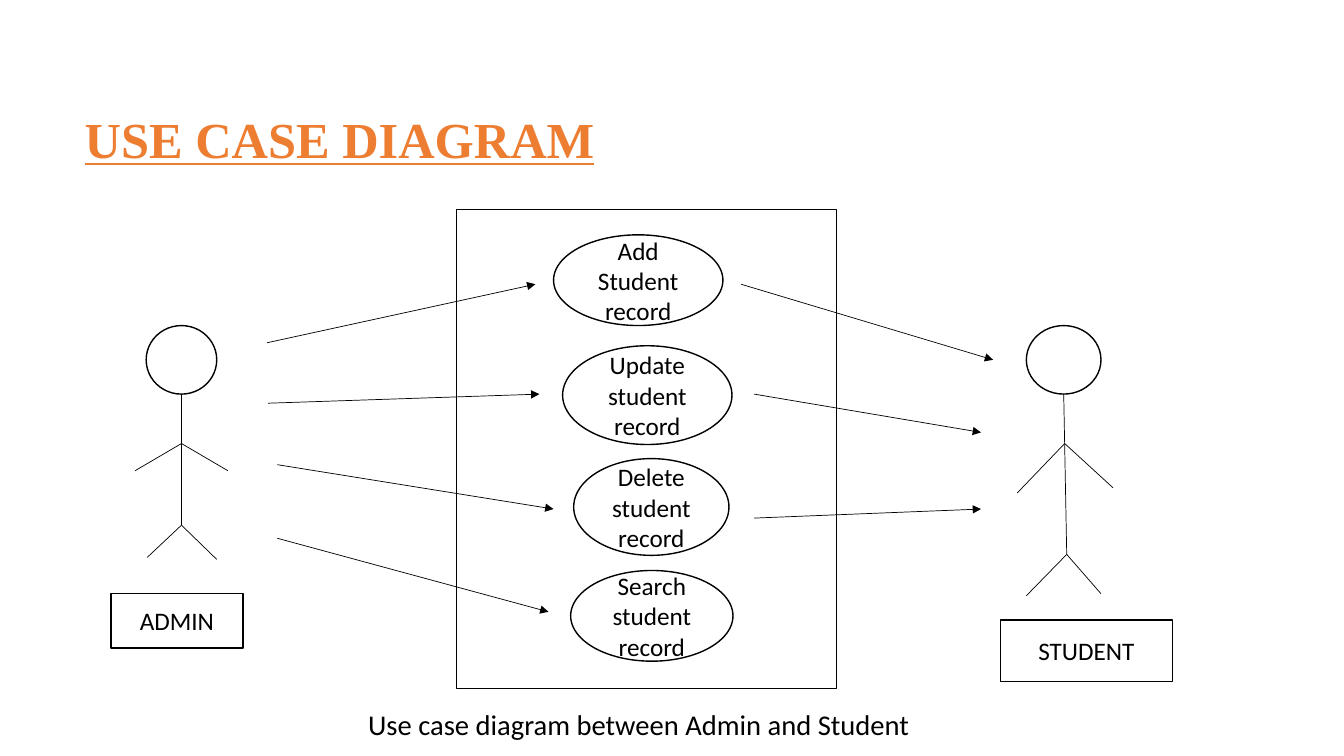
from lxml.etree import SubElement
from pptx import Presentation
from pptx.dml.color import RGBColor
from pptx.enum.shapes import MSO_CONNECTOR, MSO_SHAPE
from pptx.enum.text import MSO_ANCHOR, MSO_AUTO_SIZE, PP_ALIGN
from pptx.oxml.ns import qn
from pptx.util import Inches, Pt

COLORS = {"ink": "000000", "paper": "FFFFFF", "title": "ED7D31"}


def write(frame, text, size=18, font="Calibri", color="ink", bold=False,
          under=False, align=PP_ALIGN.CENTER, anchor=MSO_ANCHOR.MIDDLE,
          space=1.0, before=0):
    frame.word_wrap = True
    frame.auto_size = MSO_AUTO_SIZE.NONE
    frame.vertical_anchor = anchor
    para = frame.paragraphs[0]
    para.alignment = align
    para.line_spacing = space
    para.space_before = Pt(before)
    run = para.add_run()
    run.text = text
    run.font.size = Pt(size)
    run.font.name = font
    run.font.bold = bold
    run.font.underline = under
    run.font.color.rgb = RGBColor.from_string(COLORS[color])
    return para


def join(start, end, arrow=False):
    ends = [Inches(n) for n in (*start, *end)]
    link = slide.shapes.add_connector(MSO_CONNECTOR.STRAIGHT, *ends)
    link.line.color.rgb = RGBColor.from_string(COLORS["ink"])
    link.line.width = Pt(0.5)
    if arrow:
        SubElement(link.line._get_or_add_ln(), qn("a:tailEnd"), type="triangle")
    SubElement(link._element.spPr, qn("a:effectLst"))


deck = Presentation()
deck.slide_width, deck.slide_height = Inches(13.33), Inches(7.5)
slide = deck.slides.add_slide(deck.slide_layouts[1])

# Title and caption
title, note = slide.placeholders
for holder, box in ((title, (0.74, 0.82, 10.51, 1.18)),
                    (note, (1.08, 7.06, 10.51, 0.34))):
    holder.left, holder.top, holder.width, holder.height = map(Inches, box)
write(title.text_frame, "USE CASE DIAGRAM", size=36, font="Times New Roman",
      color="title", bold=True, under=True, align=PP_ALIGN.LEFT, space=0.9)
para = write(note.text_frame, "Use case diagram between Admin and Student",
             size=20.4, anchor=MSO_ANCHOR.TOP, space=0.7, before=10)
props = para._p.get_or_add_pPr()
props.set("marL", "0")
props.set("indent", "0")
SubElement(props, qn("a:buNone"))

# System frame, use cases, heads and actor labels
RECT, OVAL = MSO_SHAPE.RECTANGLE, MSO_SHAPE.OVAL
HEAD = MSO_SHAPE.FLOWCHART_CONNECTOR
parts = [
    (RECT, (4.53, 2.08, 3.77, 4.75), ""),
    (OVAL, (5.49, 2.33, 1.68, 0.9), "Add Student record"),
    (OVAL, (5.58, 3.43, 1.68, 0.98), "Update student record"),
    (OVAL, (5.69, 4.55, 1.54, 0.96), "Delete student record"),
    (OVAL, (5.66, 5.66, 1.61, 0.9), "Search student record"),
    (HEAD, (1.45, 3.23, 0.7, 0.68), ""),
    (HEAD, (10.18, 3.23, 0.74, 0.68), ""),
    (RECT, (1.1, 5.89, 1.31, 0.54), "ADMIN"),
    (RECT, (9.92, 6.15, 1.71, 0.61), "STUDENT"),
]
for kind, box, text in parts:
    shape = slide.shapes.add_shape(kind, *map(Inches, box))
    shape.shadow.inherit = False
    shape.fill.solid()
    shape.fill.fore_color.rgb = RGBColor.from_string(COLORS["paper"])
    shape.line.color.rgb = RGBColor.from_string(COLORS["ink"])
    shape.line.width = Pt(1)
    if text:
        write(shape.text_frame, text)

# Stick figures: neck, shoulder, hip, then hands and feet
actors = [
    ((1.8, 3.91), (1.8, 4.4), (1.8, 5.21),
     ((1.34, 4.67), (2.26, 4.67)), ((1.46, 5.53), (2.15, 5.55))),
    ((10.55, 3.91), (10.56, 4.4), (10.58, 5.5),
     ((10.09, 4.89), (11.04, 4.84)), ((10.18, 5.91), (10.92, 5.89))),
]
for neck, chest, hip, hands, feet in actors:
    join(neck, hip)
    for hand in hands:
        join(chest, hand)
    for foot in feet:
        join(hip, foot)

# Arrows from admin to use cases, then from use cases to student
arrows = [
    ((2.65, 3.4), (5.31, 2.82)),
    ((2.66, 4), (5.35, 3.91)),
    ((2.75, 4.61), (5.49, 5.05)),
    ((2.75, 5.34), (5.44, 6.07)),
    ((7.35, 2.82), (9.85, 3.57)),
    ((7.48, 3.91), (9.73, 4.29)),
    ((7.48, 5.14), (9.73, 5.05)),
]
for start, end in arrows:
    join(start, end, arrow=True)

deck.save("out.pptx")
